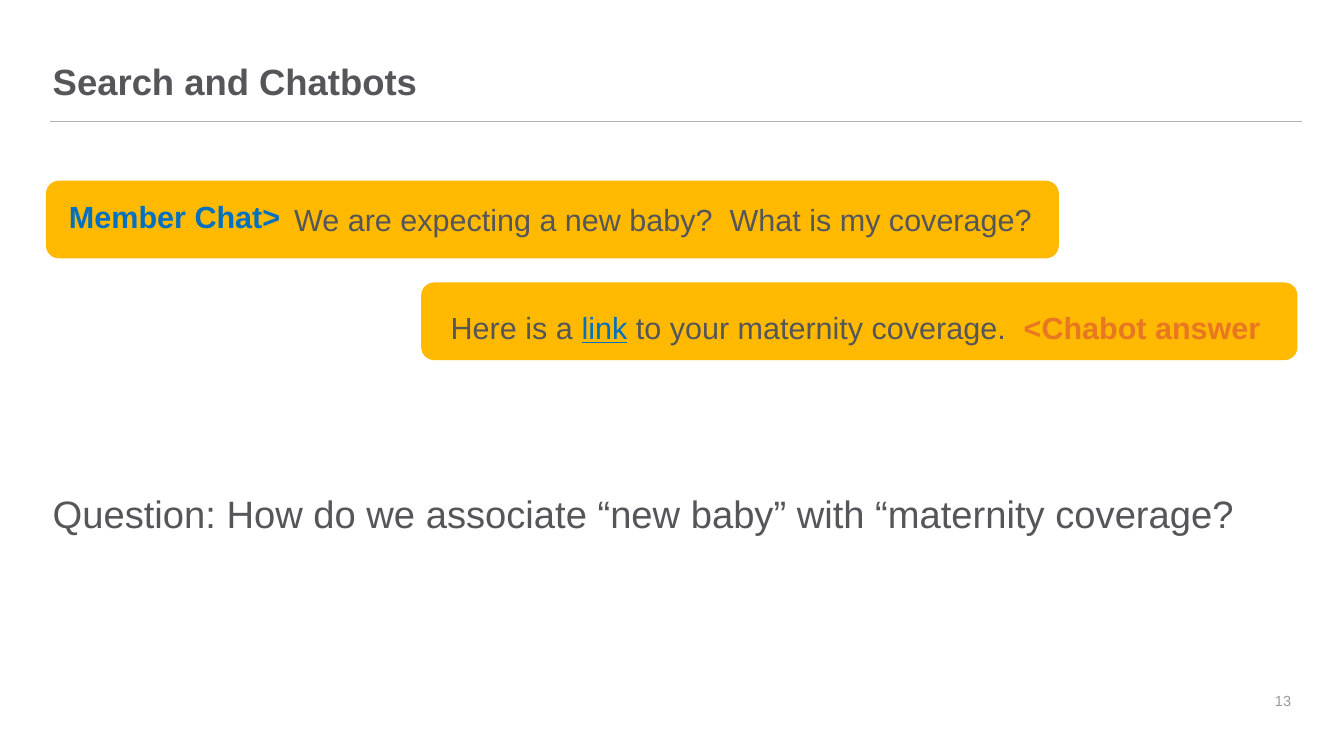
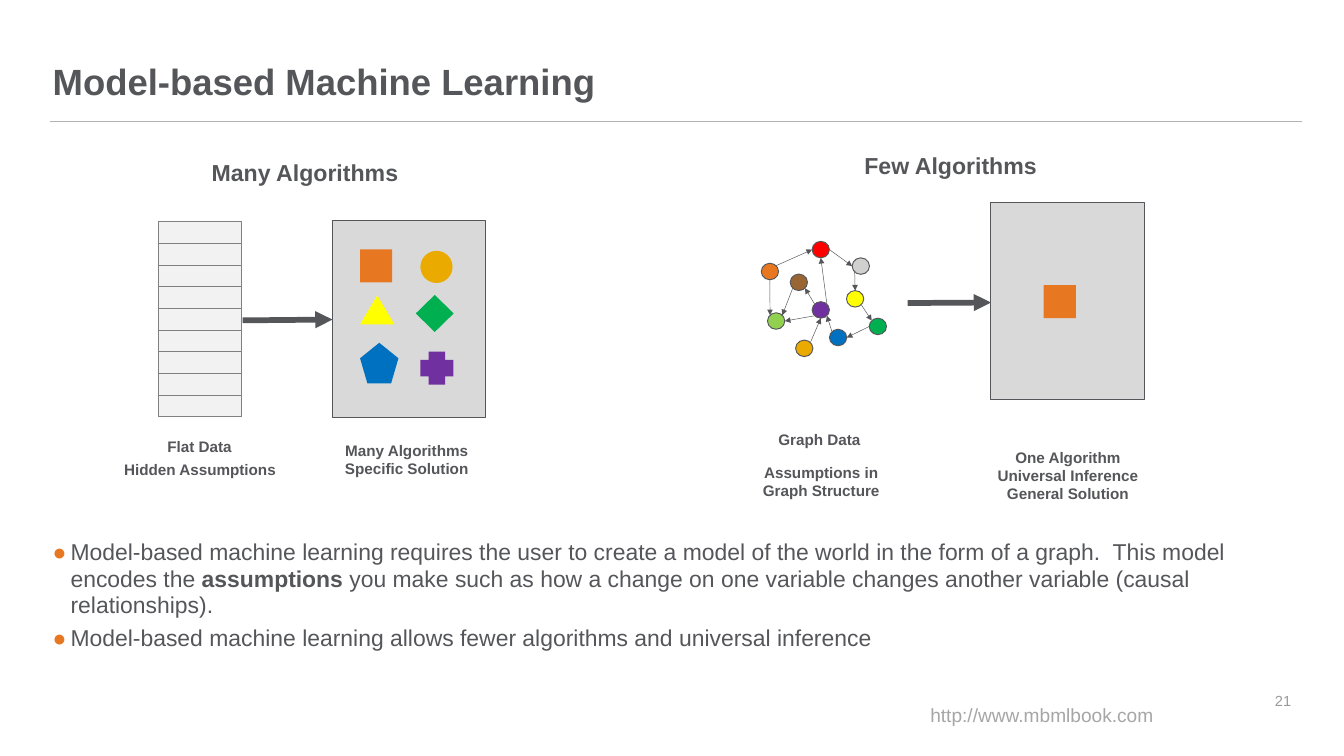
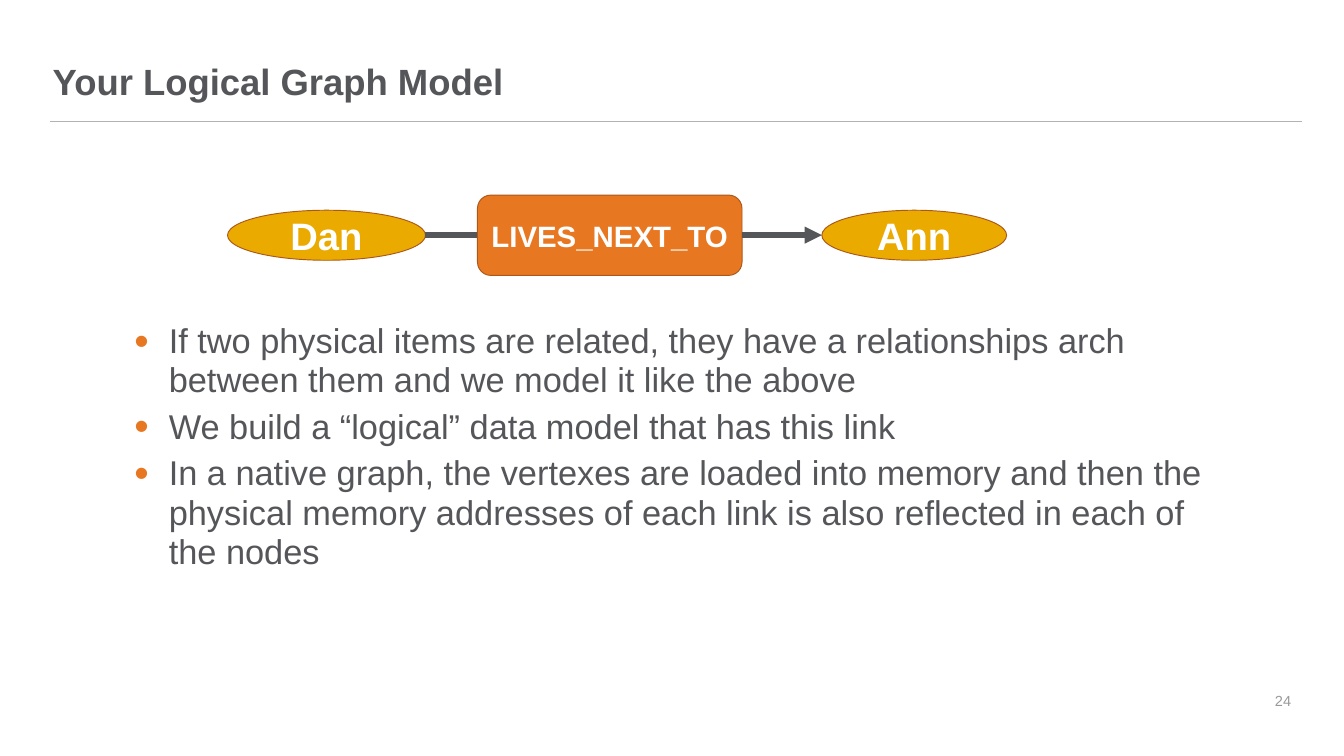
from math import cos, radians, sin

from lxml.etree import SubElement
from pptx import Presentation
from pptx.dml.color import RGBColor
from pptx.enum.shapes import MSO_CONNECTOR, MSO_SHAPE
from pptx.enum.text import MSO_ANCHOR, MSO_AUTO_SIZE, PP_ALIGN
from pptx.oxml.ns import qn
from pptx.util import Cm, Pt

# Colours
GREY = RGBColor(0x55, 0x56, 0x5A)
RULE_GREY = RGBColor(0xB1, 0xB3, 0xB3)
NUMBER_GREY = RGBColor(0x99, 0x9A, 0x9B)
LINK_GREY = RGBColor(0xA6, 0xA6, 0xA6)
CELL_FILL = RGBColor(0xF2, 0xF2, 0xF2)
CELL_LINE = RGBColor(0x80, 0x80, 0x80)
PANEL = RGBColor(0xD9, 0xD9, 0xD9)
SILVER = RGBColor(0xD0, 0xD0, 0xCE)
WHITE = RGBColor(0xFF, 0xFF, 0xFF)
AMBER = RGBColor(0xFF, 0xB9, 0x00)
GOLD = RGBColor(0xEA, 0xAA, 0x00)
ORANGE = RGBColor(0xE8, 0x77, 0x22)
RUST = RGBColor(0xAC, 0x58, 0x19)
BLUE = RGBColor(0x00, 0x70, 0xC0)
GREEN = RGBColor(0x00, 0xB0, 0x50)
LIME = RGBColor(0x92, 0xD0, 0x50)
YELLOW = RGBColor(0xFF, 0xFF, 0x00)
RED = RGBColor(0xFF, 0x00, 0x00)
BROWN = RGBColor(0x99, 0x66, 0x33)
PURPLE = RGBColor(0x70, 0x30, 0xA0)

# Text styles: font attributes
BASE = {"name": "Arial", "size": Pt(32), "color": GREY}
TITLE = {"size": Pt(38.2), "bold": True}
NUMBER = {"size": Pt(15.3), "color": NUMBER_GREY}
HEADING = {"size": Pt(24.2), "bold": True}
CAPTION = {"size": Pt(16), "bold": True}
CENTER = {"alignment": PP_ALIGN.CENTER}
RIGHT = {"alignment": PP_ALIGN.RIGHT}
BODY = {"line_spacing": 0.95, "space_after": Pt(7.7)}

NODE_W, NODE_H = 0.64, 0.61


def style_font(font, values):
    for key, value in values.items():
        if key == "color":
            font.color.rgb = value
        else:
            setattr(font, key, value)


def add_bullet(p, char, indent, size):
    """Give a paragraph an orange hanging bullet."""
    pPr = p._p.get_or_add_pPr()
    pPr.set("marL", str(Cm(indent)))
    pPr.set("indent", str(-Cm(indent)))
    color = SubElement(pPr, qn("a:buClr"))
    SubElement(color, qn("a:srgbClr"), val=str(ORANGE))
    SubElement(pPr, qn("a:buSzPct"), val=str(size * 1000))
    SubElement(pPr, qn("a:buFont"), typeface="Arial")
    SubElement(pPr, qn("a:buChar"), char=char)


def write(tf, paragraphs, font, para=None, bullet=None):
    """Each paragraph is a string or a list of (text, font changes)."""
    for i, runs in enumerate(paragraphs):
        p = tf.paragraphs[0] if i == 0 else tf.add_paragraph()
        for key, value in (para or {}).items():
            setattr(p, key, value)
        if bullet:
            add_bullet(p, *bullet)
        for text, changes in [(runs, {})] if isinstance(runs, str) else runs:
            r = p.add_run()
            r.text = text
            style_font(r.font, {**BASE, **font, **changes})


def add_text(s, box, paragraphs, font, para=None, bullet=None, inset=None,
             anchor=MSO_ANCHOR.TOP, wrap=True):
    tf = s.shapes.add_textbox(*map(Cm, box)).text_frame
    tf.word_wrap = wrap
    tf.vertical_anchor = anchor
    if inset:
        for side in ("left", "top", "right", "bottom"):
            setattr(tf, f"margin_{side}", Cm(inset))
    else:
        tf.auto_size = MSO_AUTO_SIZE.SHAPE_TO_FIT_TEXT
    write(tf, paragraphs, font, para, bullet)


def add_body(s, box, paragraphs, size, bullet=None):
    add_text(s, box, paragraphs, {"size": Pt(size)}, BODY, bullet, inset=0.25)


def add_shape(shapes, kind, box, fill, line=None, text=None, size=None):
    sp = shapes.add_shape(kind, *map(Cm, box))
    sp.shadow.inherit = False
    sp.fill.solid()
    sp.fill.fore_color.rgb = fill
    if line is None:
        sp.line.fill.background()
    else:
        sp.line.color.rgb = line
        sp.line.width = Pt(1)
    if text:
        sp.text_frame.vertical_anchor = MSO_ANCHOR.MIDDLE
        write(sp.text_frame, [text],
              {"size": Pt(size), "color": WHITE, "bold": True}, CENTER)


def add_line(shapes, start, end, color=GREY, width=6, arrow=True):
    cxn = shapes.add_connector(MSO_CONNECTOR.STRAIGHT,
                               *map(Cm, (*start, *end)))
    cxn.line.color.rgb = color
    cxn.line.width = Pt(width)
    if arrow:
        SubElement(cxn.line._get_or_add_ln(), qn("a:tailEnd"), type="triangle")
    SubElement(cxn._element.spPr, qn("a:effectLst"))


def add_slide(prs, title, number):
    """A blank slide with the shared rule, title and page number."""
    s = prs.slides.add_slide(prs.slide_layouts[6])
    add_line(s.shapes, (1.85, 4.5), (48.11, 4.5), RULE_GREY, 1, arrow=False)
    add_text(s, (1.7, 2.13, 46.28, 2.26), [title], TITLE,
             {"line_spacing": 0.9}, inset=0.25)
    add_text(s, (45.01, 24.82, 2.97, 2.13), [str(number)], NUMBER, RIGHT,
             inset=0.25, anchor=MSO_ANCHOR.MIDDLE)
    return s


def node_site(node, site):
    """Point on a node's edge; sites run anticlockwise from the top by 45°."""
    x, y = node
    angle = radians(90 + 45 * site)
    return (x + NODE_W / 2 * (1 + cos(angle)),
            y + NODE_H / 2 * (1 - sin(angle)))


def add_graph(s):
    nodes = {
        RED: (30.02, 8.92), BROWN: (29.21, 10.13), PURPLE: (30.02, 11.15),
        SILVER: (31.5, 9.53), YELLOW: (31.29, 10.74), LIME: (28.37, 11.56),
        BLUE: (30.66, 12.17), ORANGE: (28.14, 9.73), GREEN: (32.13, 11.76),
        GOLD: (29.41, 12.57),
    }
    edges = [
        (ORANGE, 7, RED, 2), (RED, 6, SILVER, 2), (SILVER, 3, YELLOW, 0),
        (YELLOW, 5, GREEN, 1), (GREEN, 2, BLUE, 6), (BLUE, 1, PURPLE, 5),
        (PURPLE, 1, BROWN, 5), (BROWN, 3, LIME, 7), (ORANGE, 4, LIME, 1),
        (PURPLE, 7, RED, 4), (PURPLE, 3, LIME, 6), (GOLD, 7, PURPLE, 4),
    ]
    shapes = s.shapes.add_group_shape().shapes
    for color, spot in nodes.items():
        add_shape(shapes, MSO_SHAPE.OVAL, (*spot, NODE_W, NODE_H), color, GREY)
    for source, out_site, target, in_site in edges:
        add_line(shapes, node_site(nodes[source], out_site),
                 node_site(nodes[target], in_site), width=0.5)


def chatbot_slide(prs):
    s = add_slide(prs, "Search and Chatbots", 13)
    for box in [(15.57, 10.44, 32.39, 2.87), (1.7, 6.68, 37.44, 2.87)]:
        add_shape(s.shapes, MSO_SHAPE.ROUNDED_RECTANGLE, box, AMBER)
    add_body(s, (1.7, 17.98, 46.28, 4.55),
             ["Question: How do we associate “new baby” with “maternity coverage?"],
             40)
    # Chat lines and their speakers
    add_text(s, (10.62, 7.29, 28.02, 1.63),
             ["We are expecting a new baby?  What is my coverage?"], {},
             wrap=False)
    add_text(s, (16.41, 11.28, 21.18, 1.63),
             [[("Here is a ", {}), ("link", {"color": BLUE, "underline": True}),
               (" to your maternity coverage.", {})]], {}, wrap=False)
    add_text(s, (37.59, 11.28, 9.91, 1.63), ["<Chabot answer"],
             {"color": ORANGE, "bold": True})
    add_text(s, (1.7, 7.19, 8.92, 1.63), ["Member Chat>"],
             {"color": BLUE, "bold": True}, RIGHT)


def model_based_slide(prs):
    s = add_slide(prs, "Model-based Machine Learning", 21)
    for box, text in [((7.57, 5.74, 7.47, 1.3), "Many Algorithms"),
                      ((31.7, 5.46, 6.93, 1.3), "Few Algorithms")]:
        add_text(s, box, [text], HEADING, wrap=False)

    # Flat data, solver panels and their arrows
    for row in range(9):
        add_shape(s.shapes, MSO_SHAPE.RECTANGLE,
                  (5.87, 8.2 + 0.8 * row, 3.07, 0.81), CELL_FILL, CELL_LINE)
    for x, y in [(12.29, 8.15), (36.63, 7.49)]:
        add_shape(s.shapes, MSO_SHAPE.RECTANGLE, (x, y, 5.66, 7.29), PANEL, GREY)
    add_line(s.shapes, (8.97, 11.84), (12.29, 11.81))
    add_line(s.shapes, (33.55, 11.2), (36.63, 11.18))

    # Algorithms
    for kind, box, fill in [
        (MSO_SHAPE.RECTANGLE, (13.31, 9.22, 1.19, 1.22), ORANGE),
        (MSO_SHAPE.OVAL, (15.54, 9.27, 1.19, 1.19), GOLD),
        (MSO_SHAPE.ISOSCELES_TRIANGLE, (13.31, 10.92, 1.27, 1.07), YELLOW),
        (MSO_SHAPE.DIAMOND, (15.37, 10.9, 1.4, 1.37), GREEN),
        (MSO_SHAPE.REGULAR_PENTAGON, (13.31, 12.67, 1.42, 1.5), BLUE),
        (MSO_SHAPE.CROSS, (15.54, 13, 1.22, 1.22), PURPLE),
        (MSO_SHAPE.RECTANGLE, (38.58, 10.54, 1.19, 1.22), ORANGE),
    ]:
        add_shape(s.shapes, kind, box, fill)
    add_graph(s)

    # Captions
    for box, lines in [
        ((5.92, 16.03, 2.92, 0.94), ["Flat Data"]),
        ((4.22, 16.87, 6.35, 0.94), ["Hidden Assumptions"]),
        ((11.86, 16.18, 6.35, 1.63), ["Many Algorithms", "Specific Solution"]),
        ((28.5, 15.77, 3.58, 0.94), ["Graph Data"]),
        ((27.18, 16.99, 6.35, 1.63), ["Assumptions in Graph Structure"]),
        ((36.3, 16.43, 6.35, 2.31),
         ["One Algorithm", "Universal Inference", "General Solution"]),
    ]:
        add_text(s, box, lines, CAPTION, CENTER)

    add_body(s, (1.7, 19.71, 46.28, 5.11), [
        [("Model-based machine learning requires the user to create a model of "
          "the world in the form of a graph.  This model encodes the ", {}),
         ("assumptions", {"bold": True}),
         (" you make such as how a change on one variable changes another "
          "variable (causal relationships).", {})],
        "Model-based machine learning allows fewer algorithms and universal "
        "inference",
    ], 24, ("●", 0.66, 100))
    add_text(s, (34.14, 25.88, 8.81, 1.12), ["http://www.mbmlbook.com"],
             {"size": Pt(20), "color": LINK_GREY}, wrap=False)


def logical_graph_slide(prs):
    s = add_slide(prs, "Your Logical Graph Model", 24)
    add_body(s, (4.72, 11.66, 40.23, 9.88), [
        "If two physical items are related, they have a relationships arch "
        "between them and we model it like the above",
        "We build a “logical” data model that has this link",
        "In a native graph, the vertexes are loaded into memory and then the "
        "physical memory addresses of each link is also reflected in each of "
        "the nodes",
    ], 36, ("•", 1.27, 120))
    # Two people and their relationship
    for kind, box, fill, text, size in [
        (MSO_SHAPE.OVAL, (8.41, 7.77, 7.32, 1.85), GOLD, "Dan", 40),
        (MSO_SHAPE.ROUNDED_RECTANGLE, (17.65, 7.21, 9.78, 2.97), ORANGE,
         "LIVES_NEXT_TO", 30.8),
        (MSO_SHAPE.OVAL, (30.38, 7.77, 6.83, 1.85), GOLD, "Ann", 40),
    ]:
        add_shape(s.shapes, kind, box, fill, RUST, text, size)
    add_line(s.shapes, (27.43, 8.69), (30.38, 8.69))
    add_line(s.shapes, (15.72, 8.69), (17.65, 8.69), arrow=False)


def main():
    prs = Presentation()
    prs.slide_width, prs.slide_height = Cm(49.68), Cm(27.94)
    chatbot_slide(prs)
    model_based_slide(prs)
    logical_graph_slide(prs)
    prs.save("out.pptx")


if __name__ == "__main__":
    main()
